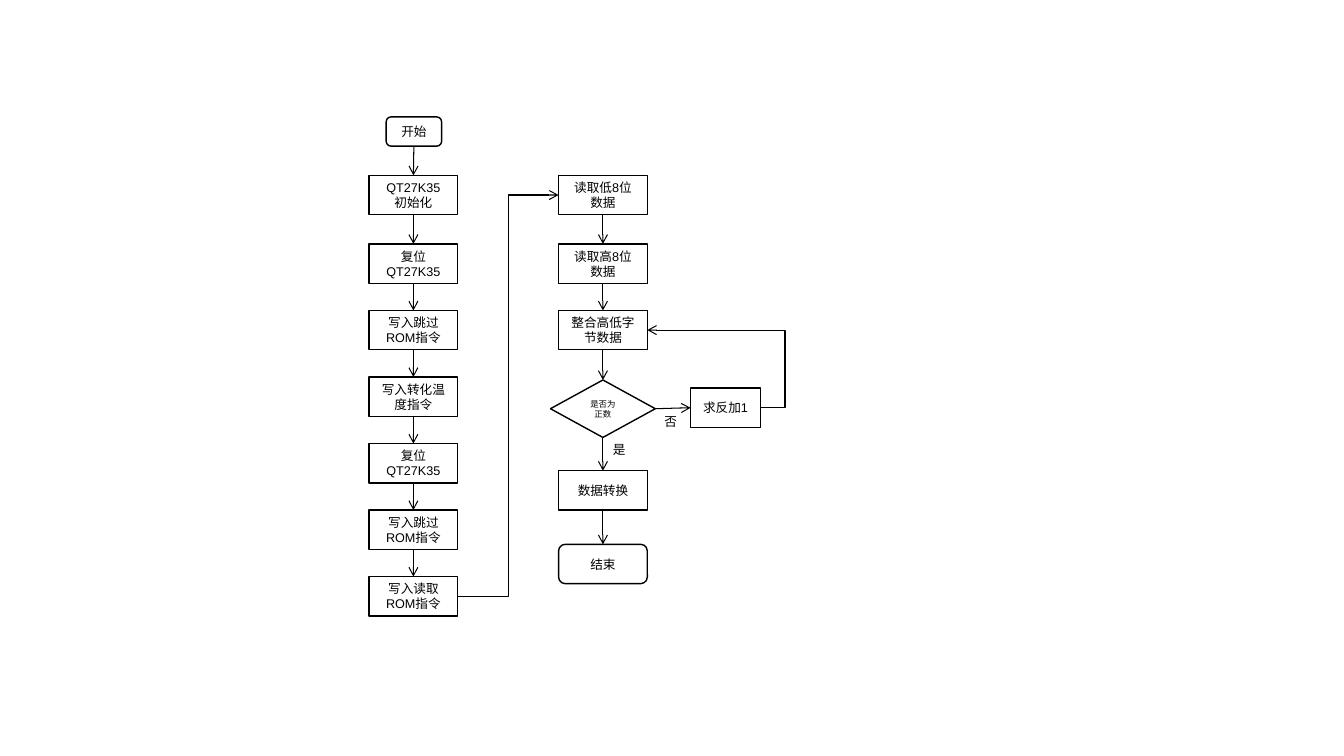
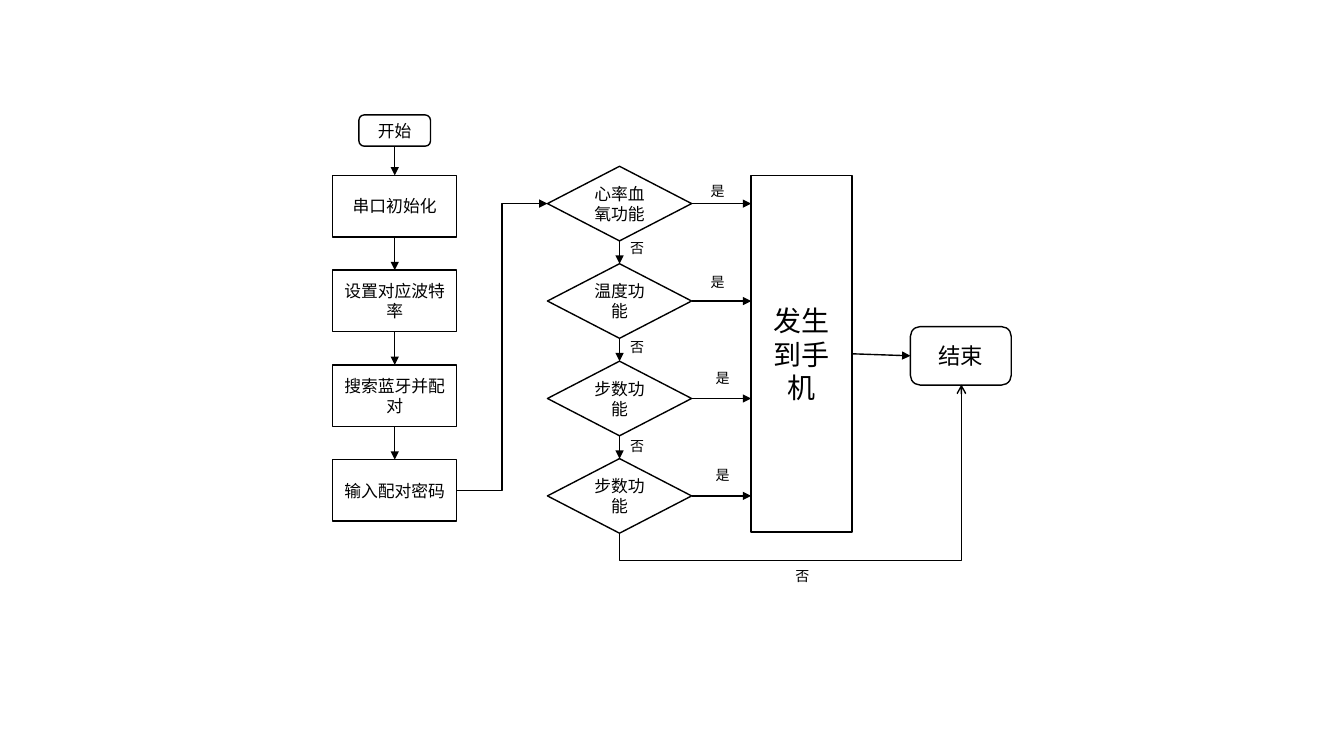
from lxml import etree
from pptx import Presentation
from pptx import util as u
from pptx.dml import color
from pptx.enum import shapes, text
from pptx.oxml import ns

BOX = shapes.MSO_SHAPE.RECTANGLE
CAP = shapes.MSO_SHAPE.ROUNDED_RECTANGLE
TEST = shapes.MSO_SHAPE.DIAMOND
LINE = shapes.MSO_CONNECTOR.STRAIGHT
BEND = shapes.MSO_CONNECTOR.ELBOW
TOP, LEFT, DOWN, RIGHT = range(4)
INK, PAPER = "000000", "FFFFFF"


def paint(target, tone):
    target.rgb = color.RGBColor.from_string(tone)


def write(frame, words, size=9, font="Arial", tone=INK, align=None, wrap=True):
    frame.text = words
    frame.word_wrap = wrap
    for para in frame.paragraphs:
        para.alignment = align
        for run in para.runs:
            run.font.size = u.Pt(size)
            run.font.name = font
            paint(run.font.color, tone)


class Chart:
    def __init__(self, deck, size, width, head, label, wrap):
        self.slide = deck.slides.add_slide(deck.slide_layouts[6])
        self.size, self.width, self.head = size, width, head
        self.label, self.wrap = label, wrap

    def node(self, kind, words, x, y, w, h, fill=None, size=None, font="Arial"):
        shape = self.slide.shapes.add_shape(kind, *map(u.Inches, (x, y, w, h)))
        shape.shadow.inherit = False
        if fill:
            shape.fill.solid()
            paint(shape.fill.fore_color, fill)
        else:
            shape.fill.background()
        shape.line.width = u.Pt(1)
        paint(shape.line.color, INK)
        shape.text_frame.vertical_anchor = text.MSO_ANCHOR.MIDDLE
        write(shape.text_frame, words, size=size or self.size, font=font,
              align=text.PP_ALIGN.CENTER)
        return shape

    def note(self, words, x, y, w, h):
        box = self.slide.shapes.add_textbox(*map(u.Inches, (x, y, w, h)))
        write(box.text_frame, words, size=self.label, font="Calibri", wrap=self.wrap)

    def wire(self, start, end, kind=LINE, head=None, bend=None, turn=0):
        link = self.slide.shapes.add_connector(kind, *start, *end)
        link.line.width = u.Pt(self.width)
        paint(link.line.color, INK)
        props = link.element.spPr
        etree.SubElement(props.find(ns.qn("a:ln")), ns.qn("a:tailEnd"),
                         type=head or self.head)
        etree.SubElement(props, ns.qn("a:effectLst"))
        if bend is not None:
            guides = props.find(ns.qn("a:prstGeom")).find(ns.qn("a:avLst"))
            etree.SubElement(guides, ns.qn("a:gd"), name="adj1",
                             fmla=f"val {round(bend * 100000)}")
        if turn:
            props.find(ns.qn("a:xfrm")).set("rot", str(turn * 60000))
        return link

    def join(self, one, side, two, goal, **style):
        link = self.wire((0, 0), (0, 0), **style)
        link.begin_connect(one, side)
        link.end_connect(two, goal)

    def chain(self, nodes):
        for one, two in zip(nodes, nodes[1:]):
            self.join(one, DOWN, two, TOP)


def sensor(deck):
    flow = Chart(deck, size=9, width=0.75, head="arrow", label=9, wrap=False)
    w, h = 0.88, 0.39
    rows = [1.74] + [2.42 + 0.66 * i for i in range(6)]
    steps = ["QT27K35\n初始化", "复位QT27K35", "写入跳过ROM指令", "写入转化温度指令",
             "复位QT27K35", "写入跳过ROM指令", "写入读取ROM指令"]
    reads = ["读取低8位数据", "读取高8位数据", "整合高低字节数据"]
    left = [flow.node(CAP, "开始", 3.83, 1.16, 0.55, 0.29)]
    left += [flow.node(BOX, words, 3.66, y, w, h) for words, y in zip(steps, rows)]
    right = [flow.node(BOX, words, 5.54, y, w, h) for words, y in zip(reads, rows)]
    sign = flow.node(TEST, "是否为正数", 5.46, 3.77, 1.04, 0.57, size=6)
    right += [sign,
              flow.node(BOX, "数据转换", 5.54, 4.67, w, h),
              flow.node(CAP, "结束", 5.54, 5.4, w, h)]
    negate = flow.node(BOX, "求反加1", 6.85, 3.85, 0.69, h)
    flow.chain(left)
    flow.chain(right)
    flow.join(left[-1], RIGHT, right[0], LEFT, kind=BEND)
    flow.join(sign, RIGHT, negate, LEFT)
    flow.join(negate, RIGHT, right[2], RIGHT, kind=BEND, bend=-0.22)
    flow.note("是", 5.98, 4.33, 0.33, 0.25)
    flow.note("否", 6.49, 4.06, 0.33, 0.25)


def phone(deck):
    flow = Chart(deck, size=12, width=1, head="triangle", label=10, wrap=True)
    steps = ["串口初始化", "设置对应波特率", "搜索蓝牙并配对", "输入配对密码"]
    left = [flow.node(CAP, "开始", 3.56, 1.14, 0.71, 0.31)]
    left += [flow.node(BOX, words, 3.3, 1.74 + 0.94 * i, 1.23, 0.61)
             for i, words in enumerate(steps)]
    send = flow.node(BOX, "发生到手机", 7.45, 1.74, 1, 3.54, size=20)
    end = flow.node(CAP, "结束", 9.03, 3.24, 1, 0.58, size=16)
    names = ["心率血氧功能", "温度功能", "步数功能", "步数功能"]
    tests = [flow.node(TEST, words, 5.43, 1.65 + 2.9 / 3 * i, 1.43, 0.74,
                       fill=PAPER, font="Calibri")
             for i, words in enumerate(names)]
    flow.chain(left)
    flow.chain(tests)
    flow.join(left[-1], RIGHT, tests[0], LEFT, kind=BEND)
    for test in tests:
        mid = test.top + test.height // 2
        flow.wire((test.left + test.width, mid), (send.left, mid))
    flow.join(send, RIGHT, end, LEFT)
    for x, y in [(6.95, 1.76), (6.95, 2.66), (7, 3.62), (7, 4.58)]:
        flow.note("是", x, y, 0.32, 0.28)
    for i in range(3):
        flow.note("否", 6.15, 2.33 + 0.98 * i, 0.32, 0.28)
    flow.wire((u.Inches(8.58), u.Inches(6.25)), (u.Inches(7.1), u.Inches(2.86)),
              kind=BEND, head="arrow", bend=-0.18, turn=90)
    flow.note("否", 7.79, 5.58, 0.32, 0.28)


def main():
    deck = Presentation()
    deck.slide_width, deck.slide_height = u.Inches(13.33), u.Inches(7.5)
    sensor(deck)
    phone(deck)
    deck.save("out.pptx")


if __name__ == "__main__":
    main()
